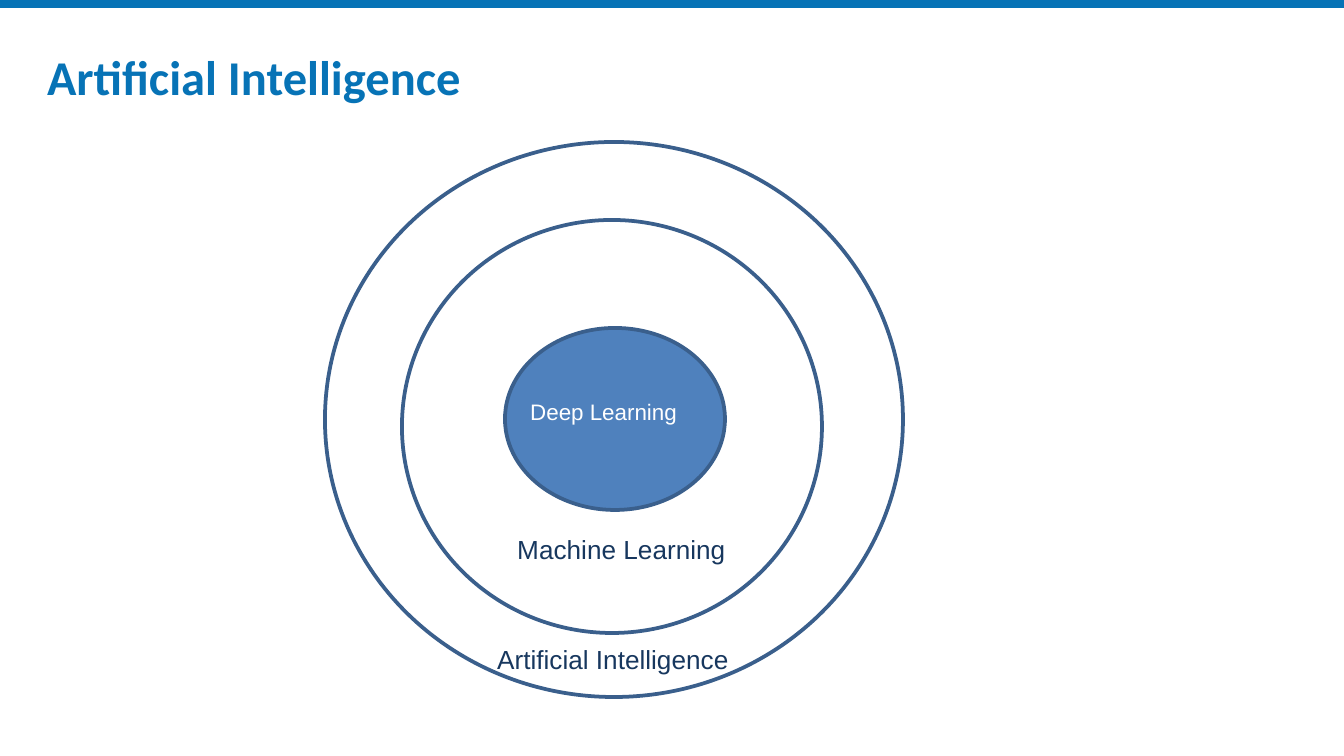
import pptx
import pptx.util
import pptx.dml.color
import pptx.enum.shapes
import pptx.enum.text

RGB = pptx.dml.color.RGBColor
SHAPE = pptx.enum.shapes.MSO_SHAPE
TEXT = pptx.enum.text

BRAND = RGB(0x07, 0x73, 0xB6)
EDGE = RGB(0x3A, 0x5F, 0x8C)
CORE = RGB(0x4F, 0x81, 0xBD)
NAVY = RGB(0x17, 0x37, 0x5E)
WHITE = RGB(0xFF, 0xFF, 0xFF)

WIDE, HIGH = 1344, 756
SCALE = 9144000 / WIDE


def emu(*sizes):
    return [pptx.util.Emu(round(size * SCALE)) for size in sizes]


def put(thing, values):
    """Set each attribute of thing from the dict of values."""
    for name, value in values.items():
        setattr(thing, name, value)


class Deck:
    def __init__(self):
        self.file = pptx.Presentation()
        self.file.slide_width, self.file.slide_height = emu(WIDE, HIGH)
        self.slide = self.file.slides.add_slide(self.file.slide_layouts[5])
        self.group = None

    def words(self, frame, text, size, font, color, bold=False):
        para = frame.paragraphs[0]
        para.text = text
        para.alignment = TEXT.PP_ALIGN.LEFT
        put(para.font, {"size": pptx.util.Pt(size), "name": font, "bold": bold})
        para.font.color.rgb = color

    def shape(self, home, kind, box, fill=None, line=None):
        shape = home.shapes.add_shape(kind, *emu(*box))
        shape.shadow.inherit = False
        if fill is None:
            shape.fill.background()
        else:
            shape.fill.solid()
            shape.fill.fore_color.rgb = fill
        if line is None:
            shape.line.fill.background()
        else:
            shape.line.color.rgb = line
            shape.line.width = pptx.util.Pt(2)

    def bar(self, box, fill):
        self.shape(self.slide, SHAPE.RECTANGLE, box, fill)

    def title(self, text, box):
        title = self.slide.shapes.title
        put(title, dict(zip(("left", "top", "width", "height"), emu(*box))))
        side, top = emu(13, 16)
        put(title.text_frame, {
            "margin_left": side, "margin_right": side,
            "margin_top": top, "margin_bottom": side,
            "vertical_anchor": TEXT.MSO_ANCHOR.TOP,
            "auto_size": TEXT.MSO_AUTO_SIZE.NONE, "word_wrap": True})
        self.words(title.text_frame, text, 26, "Calibri", BRAND, True)

    def ring(self, box, fill=None):
        self.shape(self.group, SHAPE.OVAL, box, fill, EDGE)

    def label(self, text, box, size, color):
        frame = self.group.shapes.add_textbox(*emu(*box)).text_frame
        put(frame, {"word_wrap": True,
                    "auto_size": TEXT.MSO_AUTO_SIZE.SHAPE_TO_FIT_TEXT})
        self.words(frame, text, size, "Arial", color)


def main():
    deck = Deck()
    deck.bar((0, 0, WIDE, 8), BRAND)
    deck.title("Artificial Intelligence", (34, 31, 1288, 79))

    deck.group = deck.slide.shapes.add_group_shape()
    deck.ring((325, 142, 578, 555))
    deck.ring((402, 220, 420, 413))
    deck.ring((505, 328, 220, 182), CORE)
    deck.label("Deep Learning", (517, 392, 194, 43), 12, WHITE)
    deck.label("Machine Learning", (504, 527, 259, 47), 14, NAVY)
    deck.label("Artificial Intelligence", (484, 637, 259, 47), 14, NAVY)

    deck.file.save("out.pptx")


if __name__ == "__main__":
    main()
